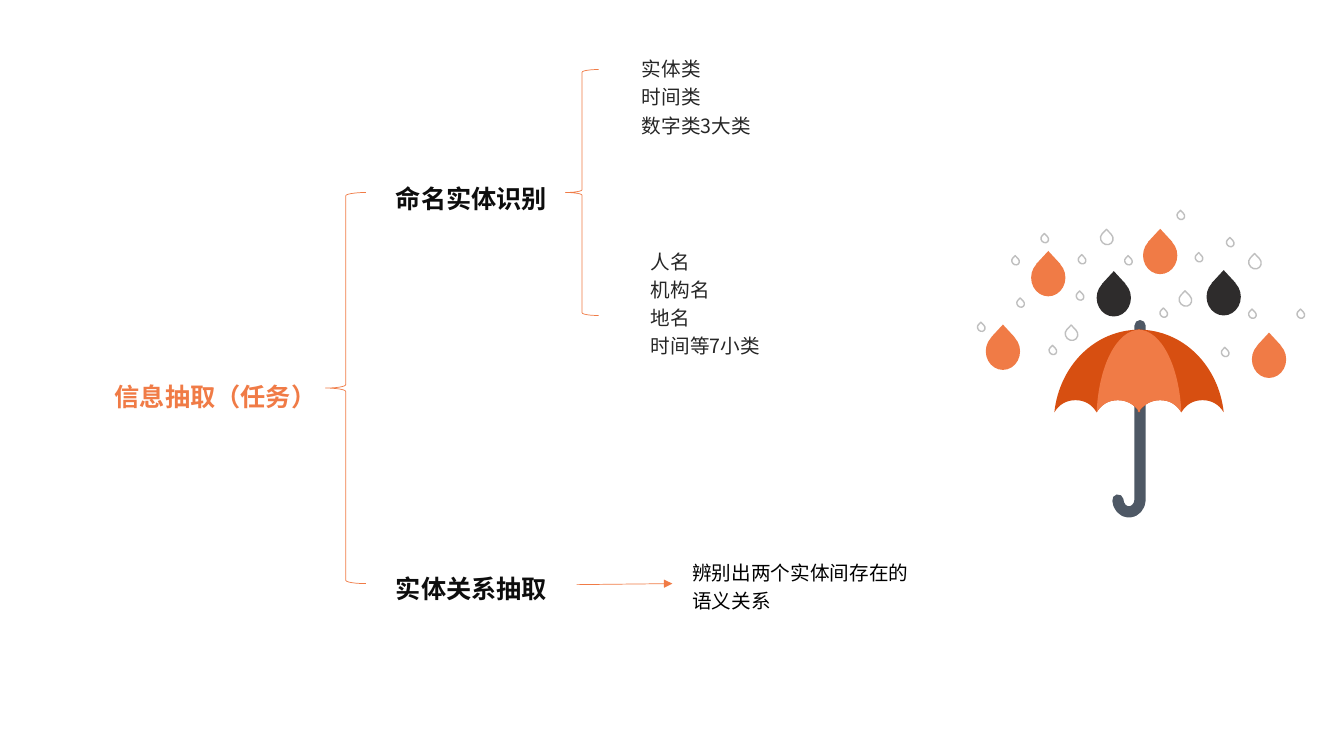
from lxml import etree
from pptx import Presentation
from pptx.dml.color import RGBColor
from pptx.enum.shapes import MSO_CONNECTOR, MSO_SHAPE
from pptx.enum.text import MSO_AUTO_SIZE
from pptx.oxml.ns import qn
from pptx.util import Inches, Pt

ELLIPSE = MSO_SHAPE.OVAL
TEARDROP = MSO_SHAPE.TEAR
LEFT_BRACE = MSO_SHAPE.LEFT_BRACE
STRAIGHT = MSO_CONNECTOR.STRAIGHT
GROW = MSO_AUTO_SIZE.SHAPE_TO_FIT_TEXT

FONT = "Noto Sans CJK SC"
COLORS = {
    "orange": "F07B46",
    "rust": "D74F11",
    "charcoal": "2E2C2C",
    "handle": "4E5865",
    "outline": "BFBFBF",
    "white": "FFFFFF",
    "heading": "0D0D0D",
    "detail": "262626",
    "black": "000000",
}

UMBRELLA_AXIS = 11.3
# A segment of one point is a line; one of three points is a Bézier curve.
# Canopy x values are distances from the axis; both halves overlap slightly there.
CANOPY_TOP = (-0.01, 3.27)
INNER_SCALLOPS = [
    [(0.37, 4.01), (0.3, 3.97), (0.21, 3.97)],
    [(0.12, 3.97), (0.05, 4.01), (-0.01, 4.09)],
]
CANOPY_HALF = [
    [(0.44, 3.27), (0.79, 3.63), (0.84, 4.09)],
    [(0.79, 4.01), (0.72, 3.97), (0.63, 3.97)],
    [(0.54, 3.97), (0.47, 4.01), (0.42, 4.09)],
] + INNER_SCALLOPS
PANEL_HALF = [[(0.22, 3.27), (0.4, 3.63), (0.42, 4.09)]] + INNER_SCALLOPS
HANDLE_START = (11.09, 4.96)
HANDLE = [
    [(11.09, 5.02), (11.14, 5.08), (11.2, 5.08)],
    [(11.26, 5.08), (11.31, 5.02), (11.31, 4.96)],
    [(11.31, 3.23)],
]

BIG_DROPS = [
    (9.78, 3.3, "orange"), (12.42, 3.38, "orange"),
    (11.97, 2.76, "charcoal"), (10.88, 2.77, "charcoal"),
    (10.23, 2.57, "orange"), (11.34, 2.35, "orange"),
]
MEDIUM_DROPS = [(11.7, 2.91), (10.57, 3.25), (12.39, 2.54), (10.92, 2.3)]
SMALL_DROPS = [
    (12.12, 3.46), (12.87, 3.08), (10.7, 2.54), (10.41, 3.44), (10.09, 2.97),
    (10.68, 2.9), (11.51, 3.07), (10.04, 2.55), (9.7, 3.21), (12.17, 2.37),
    (11.68, 2.1), (11.16, 2.55), (11.86, 2.52), (12.39, 3.08), (10.33, 2.33),
]


class SlideBuilder:
    def __init__(self, slide):
        self.slide = slide
        self.shapes = slide.shapes

    def color(self, name):
        return RGBColor.from_string(COLORS[name])

    def paint(self, shape, fill=None, line=None, width=1):
        shape.shadow.inherit = False
        if fill:
            shape.fill.solid()
            shape.fill.fore_color.rgb = self.color(fill)
        else:
            shape.fill.background()
        if line:
            shape.line.color.rgb = self.color(line)
            shape.line.width = Pt(width)
        else:
            shape.line.fill.background()
        return shape

    def preset(self, kind, left, top, width, height, **style):
        shape = self.shapes.add_shape(
            kind, Inches(left), Inches(top), Inches(width), Inches(height))
        return self.paint(shape, **style)

    def outline(self, start, segments, close=True, **style):
        """Draw a freeform, turning each three-point segment into a Bézier curve."""
        builder = self.shapes.build_freeform(Inches(start[0]), Inches(start[1]))
        ends = [segment[-1] for segment in segments]
        builder.add_line_segments([(Inches(x), Inches(y)) for x, y in ends], close=close)
        shape = builder.convert_to_shape()
        lines = list(shape._element.iter(qn("a:lnTo")))
        for line, segment in zip(lines, segments):
            if len(segment) == 3:
                line.tag = qn("a:cubicBezTo")
                line.clear()
                for x, y in segment:
                    etree.SubElement(line, qn("a:pt"), x=str(Inches(x) - shape.left),
                                     y=str(Inches(y) - shape.top))
        return self.paint(shape, **style)

    def text(self, left, top, width, height, lines, size, color, bold=False, wrap=True):
        box = self.shapes.add_textbox(
            Inches(left), Inches(top), Inches(width), Inches(height))
        frame = box.text_frame
        frame.word_wrap = wrap
        frame.auto_size = GROW
        frame.text = "\n".join(lines)
        for paragraph in frame.paragraphs:
            paragraph.line_spacing = 1.2
            font = paragraph.font
            font.name = FONT
            font.size = Pt(size)
            font.bold = bold
            font.color.rgb = self.color(color)
            properties = paragraph._p.pPr.find(qn("a:defRPr"))
            etree.SubElement(properties, qn("a:ea"), typeface=FONT)

    def heading(self, left, top, width, text, color="heading"):
        self.text(left, top, width, 0.43, [text], 18, color, bold=True, wrap=False)

    def brace(self, left, top, width, height):
        brace = self.preset(LEFT_BRACE, left, top, width, height, line="orange")
        brace.line.width = Pt(0.5)

    def arrow(self, start, end):
        connector = self.shapes.add_connector(
            STRAIGHT, *[Inches(value) for value in start + end])
        connector.line.color.rgb = self.color("orange")
        connector.line.width = Pt(0.5)
        properties = connector._element.spPr
        etree.SubElement(properties.find(qn("a:ln")), qn("a:tailEnd"), type="triangle")
        etree.SubElement(properties, qn("a:effectLst"))

    def big_drop(self, left, top, color):
        self.preset(ELLIPSE, left, top, 0.34, 0.37, fill=color)
        base = top + 0.05
        tip = (left + 0.17, top - 0.08)
        self.outline((left + 0.05, base), [[tip], [(left + 0.29, base)]], fill=color)

    def outlined_drop(self, left, top, width, height):
        drop = self.preset(TEARDROP, left, top, width, height, fill="white", line="outline")
        drop.adjustments[0] = 1.02
        drop.rotation = 315

    def umbrella(self):
        stick = self.outline(HANDLE_START, HANDLE, close=False, line="handle", width=8)
        stick._element.spPr.find(qn("a:ln")).set("cap", "rnd")
        for half, color in ((CANOPY_HALF, "rust"), (PANEL_HALF, "orange")):
            for side in (1, -1):
                start, *segments = [
                    [(UMBRELLA_AXIS + side * x, y) for x, y in segment]
                    for segment in [[CANOPY_TOP]] + half
                ]
                self.outline(start[0], segments, fill=color)

    def rain_scene(self):
        self.shapes = self.slide.shapes.add_group_shape().shapes
        self.umbrella()
        for left, top, color in BIG_DROPS:
            self.big_drop(left, top, color)
        for left, top in MEDIUM_DROPS:
            self.outlined_drop(left, top, 0.12, 0.13)
        for left, top in SMALL_DROPS:
            self.outlined_drop(left, top, 0.07, 0.08)
        self.shapes = self.slide.shapes


def main():
    presentation = Presentation()
    presentation.slide_width = Inches(40 / 3)
    presentation.slide_height = Inches(7.5)
    builder = SlideBuilder(presentation.slides.add_slide(presentation.slide_layouts[6]))

    builder.rain_scene()
    builder.text(6.27, 0.47, 1.5, 0.92, ["实体类", "时间类", "数字类3大类"], 14, "detail")
    builder.heading(1.04, 3.67, 2.43, "信息抽取（任务）", "orange")
    builder.heading(3.83, 1.71, 1.93, "命名实体识别")
    builder.text(6.77, 5.47, 2.52, 0.64, ["辨别出两个实体间存在的语义关系"], 14, "black")
    builder.heading(3.83, 5.58, 1.93, "实体关系抽取")
    builder.brace(3.23, 1.91, 0.4, 3.88)
    builder.text(6.36, 2.38, 1.4, 1.2, ["人名", "机构名", "地名", "时间等7小类"], 14, "detail")
    builder.brace(5.61, 0.69, 0.33, 2.44)
    builder.arrow((5.72, 5.8), (6.67, 5.79))

    presentation.save("out.pptx")


if __name__ == "__main__":
    main()
